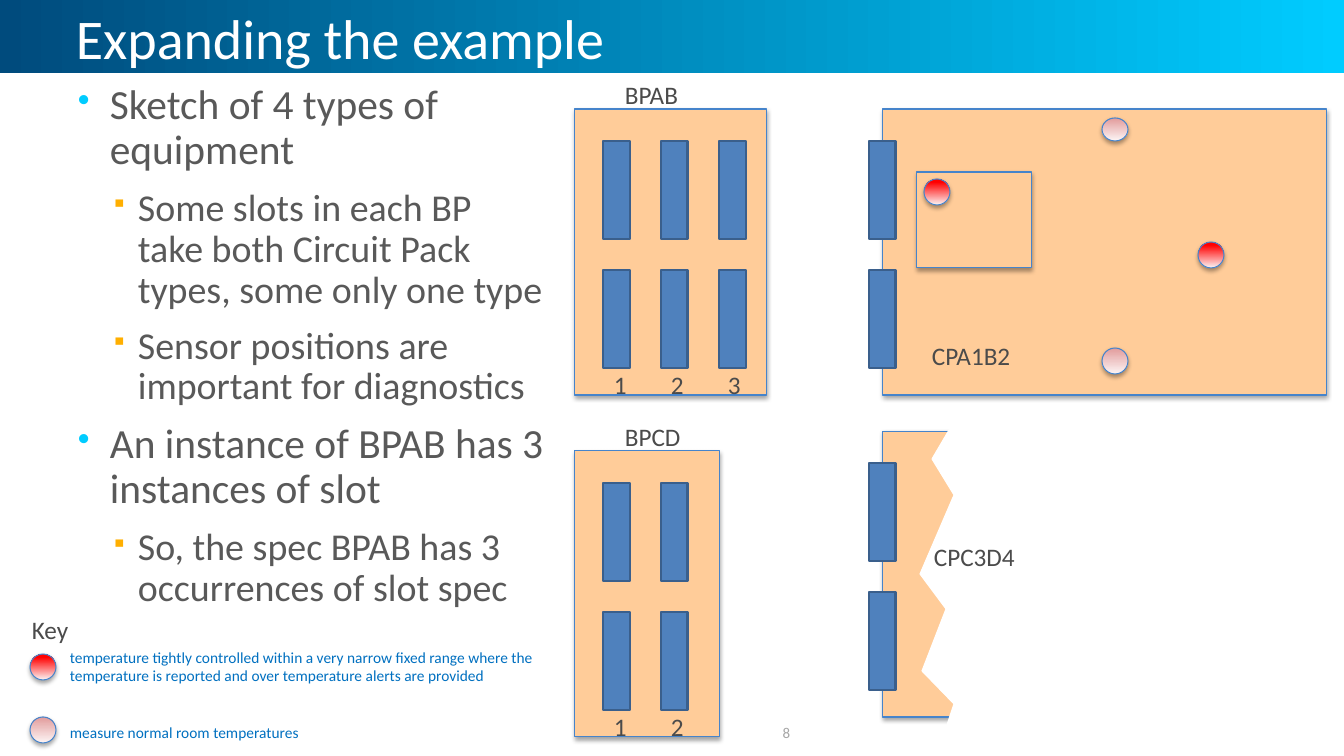
from lxml.etree import SubElement
from pptx import Presentation
from pptx.dml.color import RGBColor
from pptx.enum.shapes import MSO_SHAPE
from pptx.enum.text import MSO_ANCHOR, PP_ALIGN
from pptx.oxml.ns import qn
from pptx.util import Emu, Pt

WHITE = RGBColor(0xFF, 0xFF, 0xFF)
NAVY = RGBColor(0x00, 0x4B, 0x7D)
CYAN = RGBColor(0x00, 0xCC, 0xFF)
AMBER = RGBColor(0xFF, 0xAF, 0x00)
BODY_GREY = RGBColor(0x59, 0x59, 0x59)
LABEL_GREY = RGBColor(0x4B, 0x4B, 0x4B)
PAGE_GREY = RGBColor(0xA6, 0xA6, 0xA6)
KEY_BLUE = RGBColor(0x00, 0x70, 0xC0)
PEACH = RGBColor(0xFF, 0xCC, 0x99)
OUTLINE = RGBColor(0x46, 0x84, 0xCB)
SLOT_BLUE = RGBColor(0x4F, 0x81, 0xBD)
SLOT_EDGE = RGBColor(0x3A, 0x5F, 0x8C)
PALE = RGBColor(0xFC, 0xF4, 0xF4)
RED = RGBColor(0xFF, 0x00, 0x00)
ROSE = RGBColor(0xE2, 0x9C, 0x9C)

SCALE = 914400 / 100.8
FONT = "Calibri"
BOARD_HEIGHT = 286
SLOT_ROWS = (32, 161)
SLOT_PITCH = 58
HOT = (RED, 0.88)
ROOM = (ROSE, 1)


def px(length):
    return Emu(round(length * SCALE))


class Sketch:
    def __init__(self, page):
        self.shapes = page.shapes

    def shape(self, kind, left, top, width, height):
        shape = self.shapes.add_shape(kind, px(left), px(top), px(width), px(height))
        shape.shadow.inherit = False
        return shape

    def solid(self, shape, fill, line, weight=0.75):
        shape.fill.solid()
        shape.fill.fore_color.rgb = fill
        shape.line.color.rgb = line
        shape.line.width = Pt(weight)

    def gradient(self, shape, start, end, end_position, angle):
        shape.fill.gradient()
        shape.fill.gradient_angle = angle
        first, last = shape.fill.gradient_stops
        first.color.rgb, first.position = start, 0
        last.color.rgb, last.position = end, end_position

    def cast_shadow(self, shape):
        effects = shape._element.spPr.find(qn("a:effectLst"))
        shadow = SubElement(effects, qn("a:outerShdw"), blurRad="40000",
                            dist="23000", dir="5400000", rotWithShape="0")
        color = SubElement(shadow, qn("a:srgbClr"), val="000000")
        SubElement(color, qn("a:alpha"), val="35000")

    def banner(self, width, height):
        shape = self.shape(MSO_SHAPE.RECTANGLE, 0, 0, width, height)
        self.gradient(shape, NAVY, CYAN, 1, 0)
        shape.line.fill.background()

    def board(self, left, top, width, height=BOARD_HEIGHT):
        shape = self.shape(MSO_SHAPE.RECTANGLE, left, top, width, height)
        self.solid(shape, PEACH, OUTLINE)
        self.cast_shadow(shape)

    def slot_column(self, left, board_top):
        for offset in SLOT_ROWS:
            shape = self.shape(MSO_SHAPE.RECTANGLE, left, board_top + offset, 27, 98)
            self.solid(shape, SLOT_BLUE, SLOT_EDGE, 2)

    def backplane(self, name, left, top, width, slots):
        self.board(left, top, width)
        for index in range(slots):
            self.slot_column(left + 28 + index * SLOT_PITCH, top)
            self.label(str(index + 1), left + 29 + index * 57, top + 255, 32, PP_ALIGN.CENTER)
        self.label(name, left + 40, top - 35)

    def sensor(self, kind, left, top, height=26):
        shape = self.shape(MSO_SHAPE.OVAL, left, top, 26, height)
        self.gradient(shape, PALE, *kind, 90)
        shape.line.color.rgb = OUTLINE
        shape.line.width = Pt(0.75)
        self.cast_shadow(shape)

    def torn_edge(self, points):
        builder = self.shapes.build_freeform(*points[0], scale=SCALE)
        builder.add_line_segments(points[1:], close=True)
        shape = builder.convert_to_shape()
        shape.shadow.inherit = False
        self.solid(shape, WHITE, WHITE)

    def frame(self, left, top, width, height):
        box = self.shapes.add_textbox(px(left), px(top), px(width), px(height))
        box.text_frame.word_wrap = True
        return box.text_frame

    def span(self, para, text, size, color):
        span = para.add_run()
        span.text = text
        span.font.name = FONT
        span.font.size = Pt(size)
        span.font.color.rgb = color

    def text(self, text, left, top, width, height, size, color, align=PP_ALIGN.LEFT):
        frame = self.frame(left, top, width, height)
        para = frame.paragraphs[0]
        para.alignment = align
        self.span(para, text, size, color)
        return frame

    def label(self, text, left, top, width=142, align=PP_ALIGN.LEFT):
        frame = self.text(text, left, top, width, 40, 18, LABEL_GREY, align)
        frame.word_wrap = width > 40

    def paragraphs(self, frame, count):
        return [frame.paragraphs[0]] + [frame.add_paragraph() for _ in range(count - 1)]

    def bullets(self, items, left, top, width, height):
        styles = (("•", CYAN, 85, 32, -32, 29.6), ("▪", AMBER, 60, 60, -27, 27.1))
        frame = self.frame(left, top, width, height)
        for index, para in enumerate(self.paragraphs(frame, len(items))):
            level, text = items[index]
            mark, color, percent, margin, indent, size = styles[level]
            para.level = level
            para.line_spacing = 0.9
            if index:
                para.space_before = Pt(10.7)
            properties = para._p.get_or_add_pPr()
            properties.set("marL", str(px(margin)))
            properties.set("indent", str(px(indent)))
            tint = SubElement(properties, qn("a:buClr"))
            SubElement(tint, qn("a:srgbClr"), val=str(color))
            SubElement(properties, qn("a:buSzPct"), val=str(percent * 1000))
            SubElement(properties, qn("a:buChar"), char=mark)
            self.span(para, text, size, BODY_GREY)

    def key_notes(self, notes, left, top, width, height):
        frame = self.frame(left, top, width, height)
        for index, para in enumerate(self.paragraphs(frame, len(notes))):
            if index:
                para.space_before = Pt(27)
            self.span(para, notes[index], 11, KEY_BLUE)


def main():
    deck = Presentation()
    deck.slide_width, deck.slide_height = px(1344), px(756)
    sketch = Sketch(deck.slides.add_slide(deck.slide_layouts[6]))

    sketch.banner(1344, 73)
    title = sketch.text("Expanding the example", 66, 2, 1202, 77, 40, WHITE)
    title.paragraphs[0].line_spacing = Pt(45.3)
    sketch.bullets([
        (0, "Sketch of 4 types of equipment"),
        (1, "Some slots in each BP take both Circuit Pack types, some only one type"),
        (1, "Sensor positions are important for diagnostics"),
        (0, "An instance of BPAB has 3 instances of slot"),
        (1, "So, the spec BPAB has 3 occurrences of slot spec"),
    ], 68, 79, 486, 552)
    number = sketch.text("8", 630, 713, 313, 40, 10.7, PAGE_GREY, PP_ALIGN.CENTER)
    number.vertical_anchor = MSO_ANCHOR.MIDDLE

    sketch.board(883, 109, 444)
    sketch.board(917, 172, 115, 96)
    sketch.sensor(ROOM, 1102, 118, 23)
    sketch.sensor(HOT, 924, 179)
    sketch.sensor(HOT, 1198, 242)
    sketch.sensor(ROOM, 1102, 348)
    sketch.slot_column(869, 109)
    sketch.label("CPA1B2", 922, 335)

    sketch.board(883, 431, 80)
    sketch.slot_column(869, 431)
    sketch.torn_edge([(962, 408), (932, 459), (954, 495), (920, 574), (946, 609),
                      (922, 671), (954, 704), (942, 740), (983, 740), (983, 409)])
    sketch.label("CPC3D4", 924, 536)

    sketch.backplane("BPAB", 575, 109, 192, 3)
    sketch.backplane("BPCD", 575, 451, 145, 2)

    sketch.sensor(HOT, 30, 654)
    sketch.sensor(ROOM, 30, 717)
    sketch.key_notes([
        "temperature tightly controlled within a very narrow fixed range where the "
        "temperature is reported and over temperature alerts are provided",
        "measure normal room temperatures",
    ], 60, 643, 489, 104)
    sketch.label("Key", 22, 609)
    deck.save("out.pptx")


if __name__ == "__main__":
    main()
